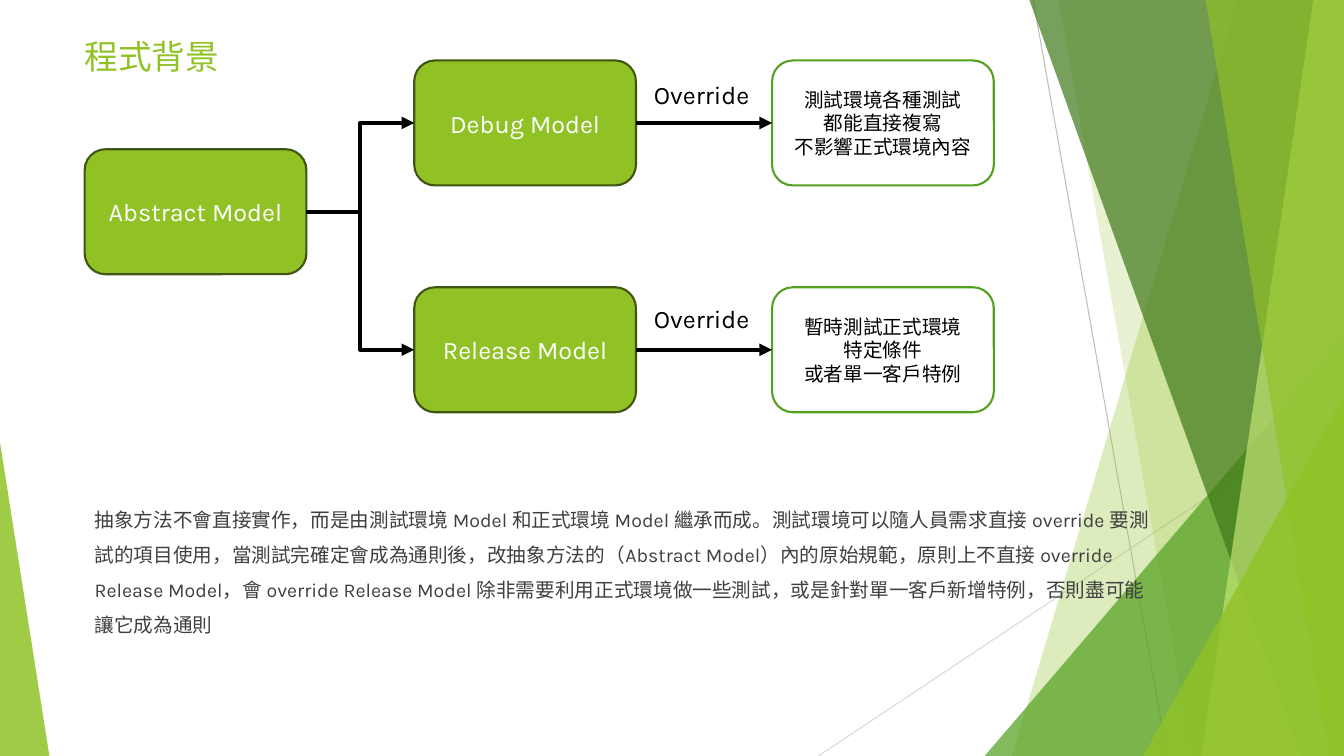
from dataclasses import dataclass

from lxml.etree import SubElement
from pptx import Presentation
from pptx.dml.color import RGBColor
from pptx.enum.shapes import MSO_CONNECTOR as Conn, MSO_SHAPE as Form
from pptx.enum.text import MSO_ANCHOR as Anchor, MSO_AUTO_SIZE as Fit, PP_ALIGN as Align
from pptx.oxml.ns import qn
from pptx.util import Pt


@dataclass(frozen=True)
class Theme:
    """Colours, type sizes and line widths of the slide."""

    font: str = "Karla"
    lime: str = "90C226"
    leaf: str = "54A021"
    pine: str = "3F7819"
    mint: str = "C0E474"
    olive: str = "3F5511"
    white: str = "FFFFFF"
    black: str = "000000"
    ink: str = "404040"
    gray: str = "BFBFBF"
    pale: str = "D9D9D9"
    head: int = 24
    label: int = 18
    body: int = 14
    edge: float = 1.5
    wire: int = 3
    hair: float = 0.75


T = Theme()
WIDE, HIGH = 960, 540
BOX_W, BOX_H = 158.4, 89.3
COLS = 60.5, 295.9, 551.5
ROWS = 43.2, 205.2
BODY = (
    "抽象方法不會直接實作，而是由測試環境 Model 和正式環境 Model 繼承而成。"
    "測試環境可以隨人員需求直接 override 要測試的項目使用，當測試完確定會成為通則後，"
    "改抽象方法的（Abstract Model）內的原始規範，原則上不直接 override Release Model，"
    "會 override Release Model 除非需要利用正式環境做一些測試，或是針對單一客戶新增特例，"
    "否則盡可能讓它成為通則"
)


def apply(item, vals):
    """Set each named attribute of an item."""
    for name, val in vals.items():
        setattr(item, name, val)


def rgb(tone):
    """Turn a hex tone into a colour."""
    return RGBColor.from_string(tone)


def paint(shape, tone, alpha=100):
    """Fill a shape without shadow, at an opacity in percent."""
    shape.shadow.inherit = False
    shape.fill.solid()
    shape.fill.fore_color.rgb = rgb(tone)
    if alpha < 100:
        for node in shape.element.spPr.iter(qn("a:srgbClr")):
            SubElement(node, qn("a:alpha"), val=str(alpha * 1000))


def write(shape, lines, size, tone, frame, para):
    """Write lines as paragraphs with the given formats."""
    text = shape.text_frame
    text.text = "\n".join(lines)
    apply(text, frame)
    for part in text.paragraphs:
        apply(part, para)
        for run in part.runs:
            apply(run.font, {"name": T.font, "size": Pt(size)})
            run.font.color.rgb = rgb(tone)


def shard(slide, top, base, tone, alpha):
    """Draw a slanted pane that reaches the right edge."""
    pts = [(WIDE, -0.6), (WIDE, HIGH), (base, HIGH)]
    pen = slide.shapes.build_freeform(Pt(top), Pt(-0.6))
    pen.add_line_segments([(Pt(x), Pt(y)) for x, y in pts], close=True)
    pane = pen.convert_to_shape()
    paint(pane, tone, alpha)
    pane.line.fill.background()


def wedge(slide, left, top, wide, peak, tone, alpha):
    """Draw a corner triangle that stands on the bottom edge."""
    tri = slide.shapes.add_shape(
        Form.ISOSCELES_TRIANGLE, Pt(left), Pt(top), Pt(wide), Pt(HIGH - top))
    tri.adjustments[0] = peak
    paint(tri, tone, alpha)
    tri.line.fill.background()


def line(slide, start, end, tone, width, kind=Conn.STRAIGHT):
    """Draw a connector without shadow."""
    wire = slide.shapes.add_connector(kind, *start, *end)
    wire.line.width = Pt(width)
    wire.line.color.rgb = rgb(tone)
    SubElement(wire.element.spPr, qn("a:effectLst"))
    return wire


def link(slide, src, dest, kind=Conn.STRAIGHT):
    """Join the right side of one box to the left side of another by an arrow."""
    start = src.left + src.width, src.top + src.height // 2
    end = dest.left, dest.top + dest.height // 2
    wire = line(slide, start, end, T.black, T.wire, kind)
    wire.begin_connect(src, 3)
    wire.end_connect(dest, 1)
    SubElement(wire.line._get_or_add_ln(), qn("a:tailEnd"), type="triangle")


def box(slide, left, top, lines, fill, edge, size, tone):
    """Draw a rounded box with centred text."""
    card = slide.shapes.add_shape(
        Form.ROUNDED_RECTANGLE, Pt(left), Pt(top), Pt(BOX_W), Pt(BOX_H))
    paint(card, fill)
    card.line.color.rgb = rgb(edge)
    card.line.width = Pt(T.edge)
    write(card, lines, size, tone, {"vertical_anchor": Anchor.MIDDLE, "word_wrap": True},
          {"alignment": Align.CENTER})
    return card


def model(slide, left, top, name):
    """Draw a green model box."""
    return box(slide, left, top, [name], T.lime, T.olive, T.label, T.white)


def note(slide, top, lines):
    """Draw a white remark box in the last column."""
    return box(slide, COLS[2], top, lines, T.white, T.leaf, T.body, T.black)


def label(slide, area, words, size, tone, frame, para):
    """Add a text box."""
    spot = slide.shapes.add_textbox(*map(Pt, area))
    write(spot, [words], size, tone, frame, para)


def decor(slide):
    """Draw the green panes at both sides."""
    line(slide, (Pt(738), 0), (Pt(833.8), Pt(HIGH)), T.gray, T.hair)
    line(slide, (Pt(WIDE), Pt(290.2)), (Pt(584.6), Pt(HIGH)), T.pale, T.hair)
    shard(slide, 884.2, 722.9, T.lime, 30)
    shard(slide, 756, 851.8, T.lime, 20)
    wedge(slide, 703.4, 239.8, 256.6, 1, T.leaf, 72)
    shard(slide, 735.1, 929.5, T.pine, 70)
    shard(slide, 938.2, 858.2, T.mint, 70)
    shard(slide, 861.1, 949, T.lime, 65)
    wedge(slide, 816.5, 283, 143.5, 1, T.lime, 80)
    wedge(slide, 0, 316.1, 35.3, 0, T.lime, 85)


def chart(slide):
    """Draw the model tree with its overrides."""
    root = model(slide, COLS[0], 106.6, "Abstract Model")
    rows = [
        ("Debug Model", 53.3, ["測試環境各種測試", "都能直接複寫", "不影響正式環境內容"]),
        ("Release Model", 213.1, ["暫時測試正式環境", "特定條件", "或者單一客戶特例"]),
    ]
    for top, (name, high, lines) in zip(ROWS, rows):
        child = model(slide, COLS[1], top, name)
        link(slide, root, child, Conn.ELBOW)
        link(slide, child, note(slide, top, lines))
        label(slide, (460, high, 85, 28.8), "Override", T.label, T.black,
              {"word_wrap": False, "auto_size": Fit.SHAPE_TO_FIT_TEXT}, {})


def main():
    """Build and save the slide."""
    deck = Presentation()
    apply(deck, {"slide_width": Pt(WIDE), "slide_height": Pt(HIGH)})
    slide = deck.slides.add_slide(deck.slide_layouts[6])
    decor(slide)
    label(slide, (53.3, 22.3, 676.8, 59.8), "程式背景", T.head, T.lime,
          {"word_wrap": True}, {})
    label(slide, (60.5, 350.6, 772.6, 133.2), BODY, T.body, T.ink,
          {"word_wrap": True}, {"line_spacing": 1.5, "space_before": Pt(10)})
    chart(slide)
    deck.save("out.pptx")


if __name__ == "__main__":
    main()
